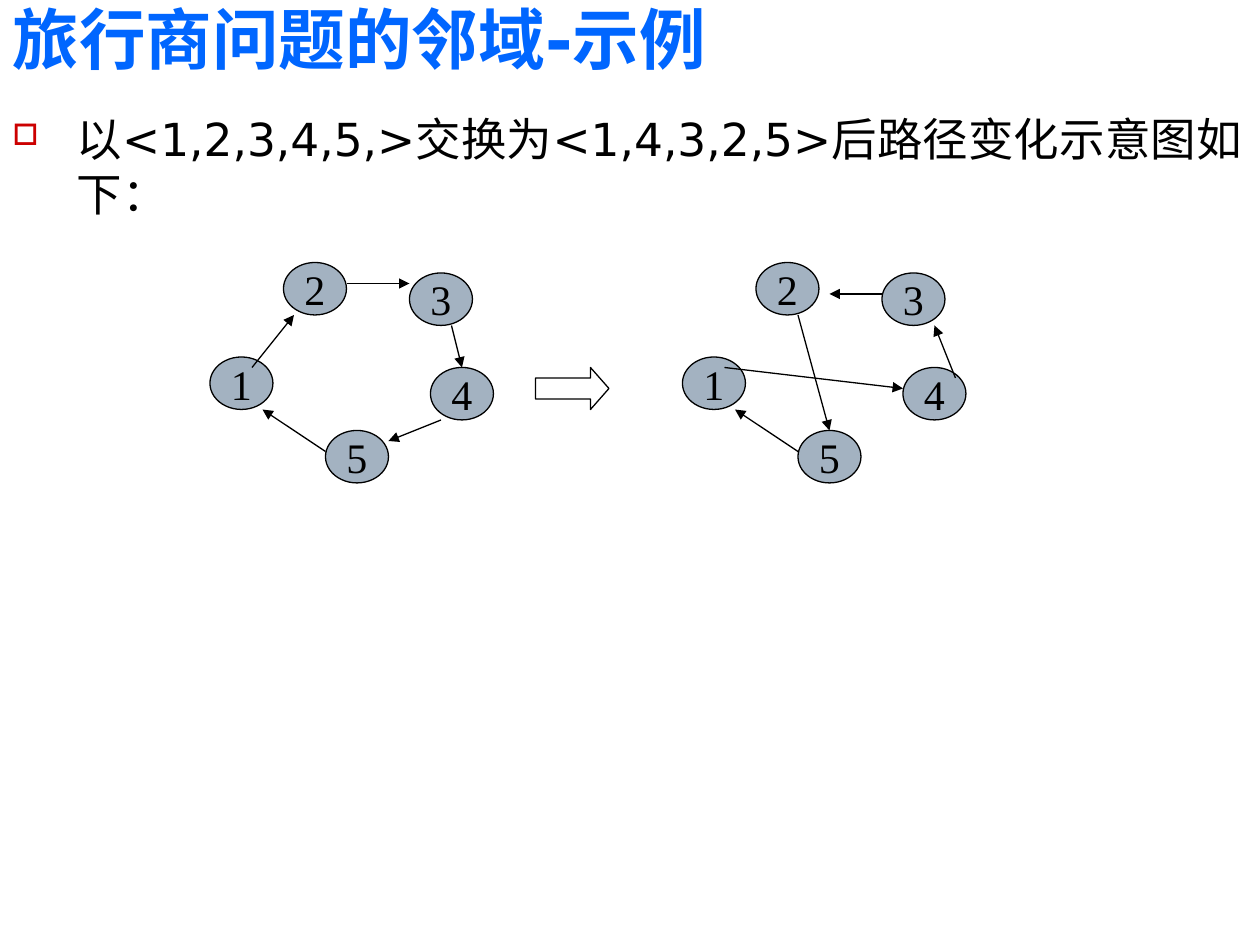
"""Build the travelling-salesman neighbourhood slide on a grid of twelfths of an inch."""
from dataclasses import dataclass

from lxml.etree import SubElement
from pptx import Presentation
from pptx.dml.color import RGBColor
from pptx.enum.shapes import MSO_CONNECTOR as Conn, MSO_SHAPE as Shape
from pptx.enum.text import MSO_ANCHOR as Anchor, MSO_AUTO_SIZE as AutoSize, PP_ALIGN as Align
from pptx.oxml.ns import qn
from pptx.util import Inches, Length, Pt

COLS, ROWS = 120, 90
NODE_COLS, NODE_ROWS = 6, 5
BLACK, WHITE, NODE_FILL = "000000", "FFFFFF", "A3B2C1"
TITLE_FONT = {"size": Pt(38), "name": "DejaVu Sans", "bold": True}
BODY_FONT = {"size": Pt(26), "name": "DejaVu Sans"}
NODE_FONT = {"size": Pt(24), "name": "Times New Roman"}
NODES = {"1": (0, 9), "5": (11, 16), "3": (19, 1), "2": (7, 0), "4": (21, 10)}


@dataclass(frozen=True)
class Edge:
    """An arrow between two grid points, relative to its tour."""
    start: tuple[int, int]
    end: tuple[int, int]


@dataclass(frozen=True)
class Tour:
    """A graph of the five cities and the arrows of one route."""
    col: int
    row: int
    edges: tuple[Edge, ...]


CLOSING = Edge((11, 18), (5, 14))
TOURS = (
    Tour(20, 25, (Edge((4, 10), (8, 5)), Edge((13, 2), (19, 2)), Edge((23, 6), (24, 10)),
                  Edge((22, 15), (17, 17)), CLOSING)),
    Tour(65, 25, (Edge((4, 10), (21, 12)), Edge((11, 5), (14, 16)), Edge((19, 3), (14, 3)),
                  Edge((26, 11), (24, 6)), CLOSING)),
)


def grid(*cells: float) -> list[Length]:
    """Convert grid cells to lengths."""
    return [Inches(c / 12) for c in cells]


def rgb(value: str) -> RGBColor:
    """Return the colour of a hex string."""
    return RGBColor.from_string(value)


def set_attrs(target, values: dict) -> None:
    """Set each attribute of a dict on the target."""
    for name, value in values.items():
        setattr(target, name, value)


def write(tf, text: str, font: dict, color: str, align: Align, **frame):
    """Write one formatted paragraph and return it."""
    set_attrs(tf, {"auto_size": AutoSize.NONE, **frame})
    p = tf.paragraphs[0]
    p.alignment = align
    r = p.add_run()
    r.text = text
    set_attrs(r.font, font)
    r.font.color.rgb = rgb(color)
    SubElement(r.font._element, qn("a:ea"), typeface=font["name"])
    return p


def add_bullet(p, char: str, color: str, percent: int, indent: float) -> None:
    """Give a paragraph a hanging coloured bullet."""
    ppr = p._p.get_or_add_pPr()
    ppr.set("marL", str(Inches(indent)))
    ppr.set("indent", str(-Inches(indent)))
    SubElement(SubElement(ppr, qn("a:buClr")), qn("a:srgbClr"), val=color)
    SubElement(ppr, qn("a:buSzPct"), val=str(percent * 1000))
    SubElement(ppr, qn("a:buChar"), char=char)


def add_outlined(shapes, kind: Shape, box: tuple, fill: str):
    """Add a filled shape with a thin black outline."""
    sp = shapes.add_shape(kind, *grid(*box))
    sp.shadow.inherit = False
    sp.fill.solid()
    sp.fill.fore_color.rgb = rgb(fill)
    sp.line.color.rgb = rgb(BLACK)
    sp.line.width = Pt(0.75)
    return sp


def add_edge(shapes, tour: Tour, edge: Edge) -> None:
    """Add an arrow of a tour."""
    points = [v for x, y in (edge.start, edge.end) for v in (tour.col + x, tour.row + y)]
    cx = shapes.add_connector(Conn.STRAIGHT, *grid(*points))
    cx.line.color.rgb = rgb(BLACK)
    cx.line.width = Pt(0.75)
    SubElement(cx.line._get_or_add_ln(), qn("a:tailEnd"), type="triangle")
    SubElement(cx._element.spPr, qn("a:effectLst"))


def add_tour(slide, tour: Tour) -> None:
    """Add the group of nodes and arrows of a tour."""
    shapes = slide.shapes.add_group_shape().shapes
    for label, (x, y) in NODES.items():
        box = (tour.col + x, tour.row + y, NODE_COLS, NODE_ROWS)
        sp = add_outlined(shapes, Shape.OVAL, box, NODE_FILL)
        write(sp.text_frame, label, NODE_FONT, BLACK, Align.CENTER,
              word_wrap=False, vertical_anchor=Anchor.MIDDLE)
    for edge in tour.edges:
        add_edge(shapes, tour, edge)


def main() -> None:
    """Build and save the slide."""
    prs = Presentation()
    prs.slide_width, prs.slide_height = grid(COLS, ROWS)
    s = prs.slides.add_slide(prs.slide_layouts[5])

    title = s.shapes.title
    set_attrs(title, dict(zip(("left", "top", "width", "height"), grid(0, 0, 105, 8))))
    write(title.text_frame, "旅行商问题的邻域-示例", TITLE_FONT, "0066FF", Align.LEFT,
          word_wrap=True, vertical_anchor=Anchor.BOTTOM)

    body = s.shapes.add_textbox(*grid(0, 10, COLS, ROWS - 10))
    p = write(body.text_frame, "以<1,2,3,4,5,>交换为<1,4,3,2,5>后路径变化示意图如下：",
              BODY_FONT, BLACK, Align.LEFT, word_wrap=True, vertical_anchor=Anchor.TOP)
    p.space_before = Pt(6.5)
    add_bullet(p, "□", "CC0000", 65, 0.51)

    for tour in TOURS:
        add_tour(s, tour)
    arrow = add_outlined(s.shapes, Shape.RIGHT_ARROW, (51, 35, 7, 4), WHITE)
    arrow.adjustments[1] = 0.44

    prs.save("out.pptx")


if __name__ == "__main__":
    main()
